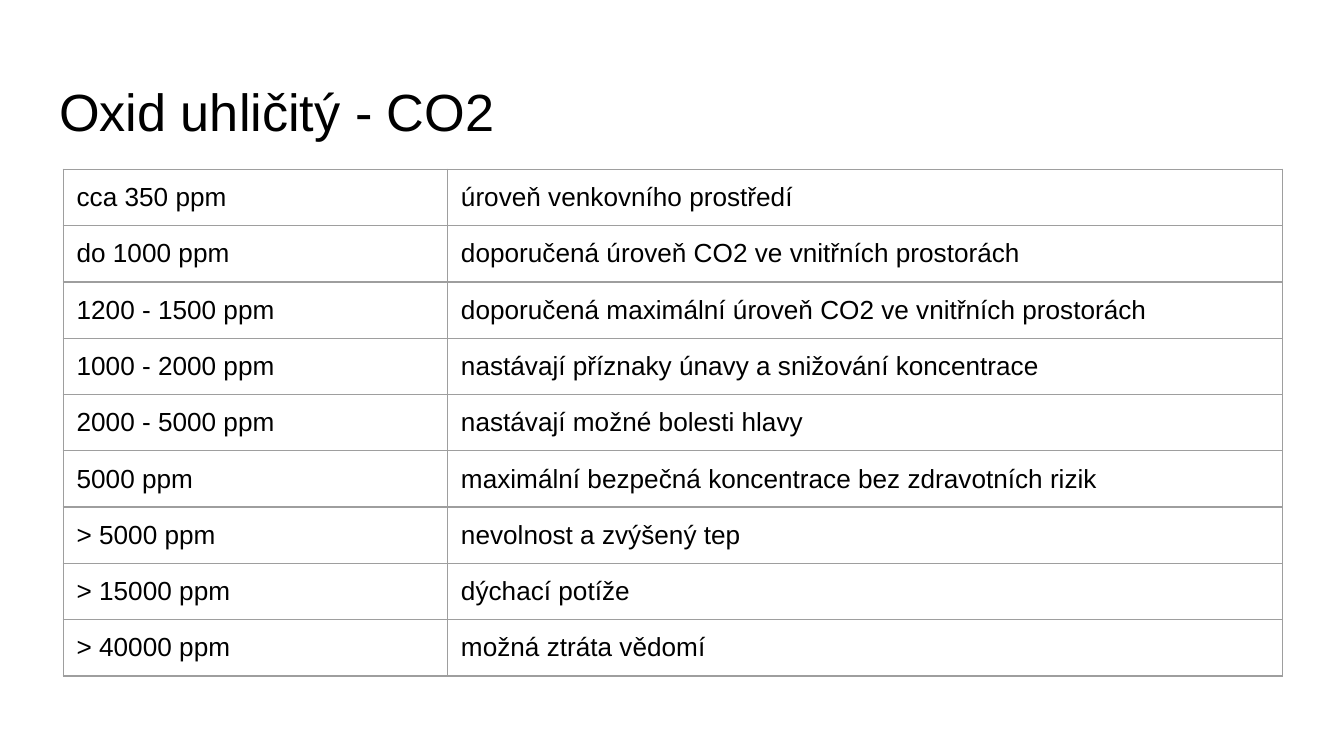
from lxml.etree import SubElement
from pptx import Presentation
from pptx.dml.color import RGBColor
from pptx.enum.text import MSO_ANCHOR, MSO_AUTO_SIZE, PP_ALIGN
from pptx.oxml.ns import qn
from pptx.util import Inches, Pt

COLORS = {"text": "000000", "border": "9E9E9E", "background": "FFFFFF"}
FONT = "Arial"
MARGIN = Inches(0.1)
BORDER_WIDTH = Pt(0.75)
SLIDE_WIDTH = 10
COLUMN_WIDTHS = (2.86, 6.21)
LEVELS = [
    ("cca 350 ppm", "úroveň venkovního prostředí"),
    ("do 1000 ppm", "doporučená úroveň CO2 ve vnitřních prostorách"),
    ("1200 - 1500 ppm", "doporučená maximální úroveň CO2 ve vnitřních prostorách"),
    ("1000 - 2000 ppm", "nastávají příznaky únavy a snižování koncentrace"),
    ("2000 - 5000 ppm", "nastávají možné bolesti hlavy"),
    ("5000 ppm", "maximální bezpečná koncentrace bez zdravotních rizik"),
    ("> 5000 ppm", "nevolnost a zvýšený tep"),
    ("> 15000 ppm", "dýchací potíže"),
    ("> 40000 ppm", "možná ztráta vědomí"),
]


def set_margins(box):
    box.margin_left = box.margin_right = MARGIN
    box.margin_top = box.margin_bottom = MARGIN


def format_text(text_frame, size):
    for paragraph in text_frame.paragraphs:
        paragraph.alignment = PP_ALIGN.LEFT
        for run in paragraph.runs:
            run.font.name = FONT
            run.font.size = Pt(size)
            run.font.color.rgb = RGBColor.from_string(COLORS["text"])


def add_borders(cell):
    properties = cell._tc.get_or_add_tcPr()
    for side in ("a:lnL", "a:lnR", "a:lnT", "a:lnB"):
        line = SubElement(properties, qn(side), w=str(BORDER_WIDTH))
        fill = SubElement(line, qn("a:solidFill"))
        SubElement(fill, qn("a:srgbClr"), val=COLORS["border"])


def place_title(slide, text, left, top, width, height):
    title = slide.shapes.title
    title.left, title.top = Inches(left), Inches(top)
    title.width, title.height = Inches(width), Inches(height)
    text_frame = title.text_frame
    text_frame.text = text
    text_frame.word_wrap = True
    text_frame.auto_size = MSO_AUTO_SIZE.NONE
    text_frame.vertical_anchor = MSO_ANCHOR.TOP
    set_margins(text_frame)
    format_text(text_frame, 28)


def place_levels_table(slide, levels, left, top, width, height):
    frame = slide.shapes.add_table(
        len(levels), len(COLUMN_WIDTHS),
        Inches(left), Inches(top), Inches(width), Inches(height),
    )
    table = frame.table
    table.first_row = False
    table.horz_banding = False
    for column, share in zip(table.columns, COLUMN_WIDTHS):
        column.width = Inches(width * share / sum(COLUMN_WIDTHS))
    for row, texts in zip(table.rows, levels):
        for cell, text in zip(row.cells, texts):
            cell.text_frame.text = text
            set_margins(cell)
            format_text(cell.text_frame, 14)
            add_borders(cell)
            cell.fill.background()


def main():
    presentation = Presentation()
    presentation.slide_width = Inches(SLIDE_WIDTH)
    presentation.slide_height = Inches(SLIDE_WIDTH * 9 / 16)
    slide = presentation.slides.add_slide(presentation.slide_layouts[5])
    slide.background.fill.solid()
    slide.background.fill.fore_color.rgb = RGBColor.from_string(COLORS["background"])
    place_title(slide, "Oxid uhličitý - CO2", 0.34, 0.49, 9.32, 0.63)
    place_levels_table(slide, LEVELS, 0.47, 1.26, sum(COLUMN_WIDTHS), 3.76)
    presentation.save("out.pptx")


if __name__ == "__main__":
    main()
